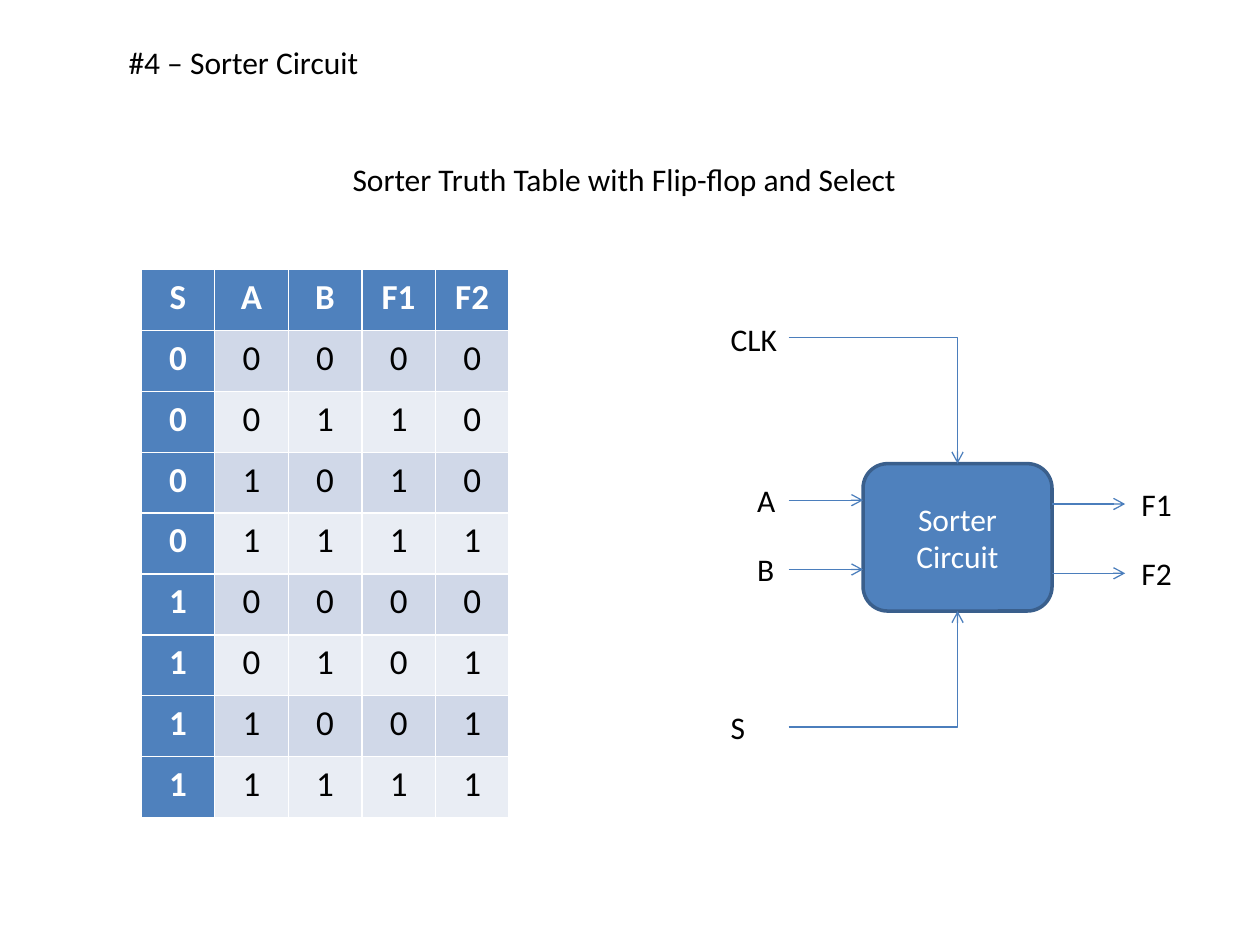
"""Build the sorter circuit slide with its truth table and block diagram."""
from typing import NamedTuple

from lxml import etree
from pptx import Presentation
from pptx.dml.color import RGBColor
from pptx.enum.shapes import MSO_CONNECTOR, MSO_SHAPE
from pptx.enum.text import MSO_ANCHOR, PP_ALIGN
from pptx.oxml.ns import qn
from pptx.util import Inches, Pt

STRAIGHT, ELBOW = MSO_CONNECTOR.STRAIGHT, MSO_CONNECTOR.ELBOW
ROUND = MSO_SHAPE.ROUNDED_RECTANGLE
TOP, MIDDLE = MSO_ANCHOR.TOP, MSO_ANCHOR.MIDDLE
LEFT, CENTER = PP_ALIGN.LEFT, PP_ALIGN.CENTER

BLUE = RGBColor(0x4F, 0x81, 0xBD)
EDGE = RGBColor(0x3A, 0x5F, 0x8C)
WIRE = RGBColor(0x4B, 0x7E, 0xBC)
BANDS = RGBColor(0xD0, 0xD8, 0xE8), RGBColor(0xE9, 0xED, 0xF4)
WHITE = RGBColor(0xFF, 0xFF, 0xFF)
BLACK = RGBColor(0, 0, 0)

FONT = "Calibri"
COLS, ROWS = 100, 75
UNIT = Inches(0.1)


class Label(NamedTuple):
    text: str
    col: float
    row: float
    width: float


class Wire(NamedTuple):
    col: float
    row: float
    end_col: float
    end_row: float


HEADS = "S", "A", "B", "F1", "F2"
TRUTH = [HEADS] + [
    (s, a, b, (a & b) if s else (a | b), (a | b) if s else (a & b))
    for s in (0, 1) for a in (0, 1) for b in (0, 1)
]

BOX_LEFT, BOX_TOP, BOX_WIDTH, BOX_HEIGHT = 68.5, 36.8, 15, 11.7
BOX_RIGHT, BOX_END = BOX_LEFT + BOX_WIDTH, BOX_TOP + BOX_HEIGHT
MID = BOX_LEFT + BOX_WIDTH / 2
START, STOP = 62.6, 89.3
IN_ROW, OUT_ROW, GAP = 39.7, 40, 5.5

LABELS = [
    Label("Sorter Truth Table with Flip-flop and Select", 27, 12.2, 45.7),
    Label("CLK", 57, 24.9, 5.8),
    Label("S", 57, 55.7, 3.2),
    *(Label(name, 59.1, IN_ROW - 2 + i * GAP, 3.5) for i, name in enumerate("AB")),
    *(Label(name, 89.6, OUT_ROW - 2 + i * GAP, 4.5) for i, name in enumerate(HEADS[3:])),
]
WIRES = [
    *(Wire(START, IN_ROW + i * GAP, BOX_LEFT, IN_ROW + i * GAP) for i in range(2)),
    *(Wire(BOX_RIGHT, OUT_ROW + i * GAP, STOP, OUT_ROW + i * GAP) for i in range(2)),
    Wire(START, 26.8, MID, BOX_TOP),
    Wire(START, 57.7, MID, BOX_END),
]


def grid(*spans: float) -> list[int]:
    return [round(span * UNIT) for span in spans]


def style(para, size: int, color: RGBColor, align=LEFT, bold: bool = False) -> None:
    para.alignment = align
    font = para.font
    font.name, font.size, font.bold = FONT, Pt(size), bold
    font.color.rgb = color


def write(shape, text: str) -> None:
    frame = shape.text_frame
    frame.word_wrap = False
    frame.vertical_anchor = TOP
    frame.text = text
    style(frame.paragraphs[0], 18, BLACK)


def add_title(slide, text: str) -> None:
    title = slide.shapes.title
    title.left, title.top, title.width, title.height = grid(9.2, 2.9, 20.5, 4)
    write(title, text)


def add_label(slide, label: Label) -> None:
    box = slide.shapes.add_textbox(*grid(label.col, label.row, label.width, 4))
    write(box, label.text)


def add_truth(slide) -> None:
    frame = slide.shapes.add_table(len(TRUTH), len(HEADS), *grid(11.2, 21.4, 29.2, 43.5))
    table = frame.table
    table.first_col = True
    for r, values in enumerate(TRUTH):
        for c, value in enumerate(values):
            cell = table.cell(r, c)
            head = r == 0 or c == 0
            cell.margin_left = cell.margin_right = Inches(0.07)
            cell.margin_top = cell.margin_bottom = 0
            cell.fill.solid()
            cell.fill.fore_color.rgb = BLUE if head else BANDS[(r - 1) % 2]
            cell.text = str(value)
            para = cell.text_frame.paragraphs[0]
            para.line_spacing = 1.15
            style(para, 20, WHITE if head else BLACK, CENTER, head)


def add_box(slide) -> None:
    box = slide.shapes.add_shape(ROUND, *grid(BOX_LEFT, BOX_TOP, BOX_WIDTH, BOX_HEIGHT))
    box.shadow.inherit = False
    box.fill.solid()
    box.fill.fore_color.rgb = BLUE
    box.line.color.rgb = EDGE
    box.line.width = Pt(2)
    frame = box.text_frame
    frame.vertical_anchor = MIDDLE
    frame.text = "Sorter\nCircuit"
    for para in frame.paragraphs:
        style(para, 18, WHITE, CENTER)


def add_wire(slide, wire: Wire) -> None:
    bent = wire.row != wire.end_row
    link = slide.shapes.add_connector(ELBOW if bent else STRAIGHT, *grid(*wire))
    link.line.color.rgb = WIRE
    link.line.width = Pt(0.75)
    props = link._element.spPr
    if bent:
        props.find(qn("a:prstGeom")).set("prst", "bentConnector2")
    etree.SubElement(props.find(qn("a:ln")), qn("a:tailEnd"), type="arrow")
    etree.SubElement(props, qn("a:effectLst"))


def main() -> None:
    deck = Presentation()
    deck.slide_width, deck.slide_height = grid(COLS, ROWS)
    slide = deck.slides.add_slide(deck.slide_layouts[5])
    add_title(slide, "#4 – Sorter Circuit")
    add_truth(slide)
    add_box(slide)
    for wire in WIRES:
        add_wire(slide, wire)
    for label in LABELS:
        add_label(slide, label)
    deck.save("out.pptx")


main()
